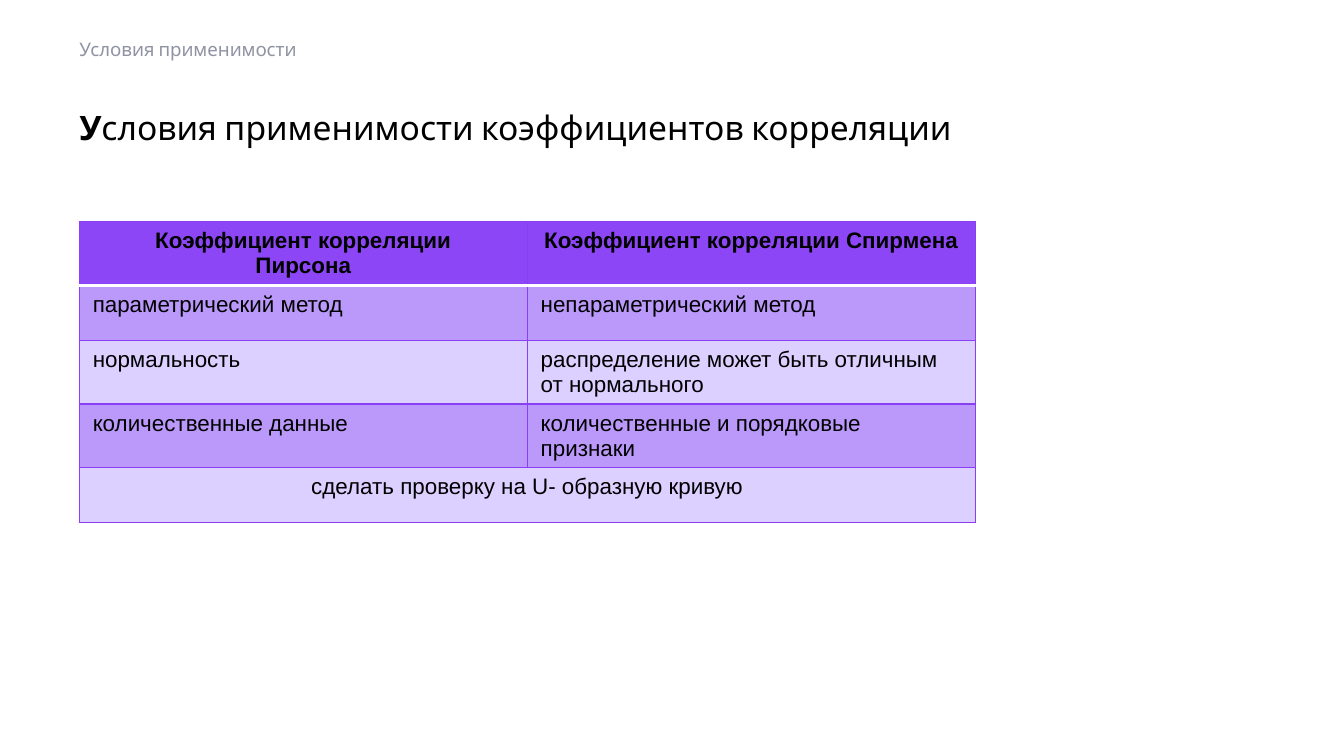
from lxml.etree import SubElement
from pptx import Presentation
from pptx.dml.color import RGBColor
from pptx.enum.text import MSO_ANCHOR, MSO_AUTO_SIZE, PP_ALIGN
from pptx.oxml.ns import qn
from pptx.util import Pt

BLACK, WHITE, GREY = "000000", "FFFFFF", "8F93A3"
HEADER, DARK_BAND, LIGHT_BAND, GRID = "8D46F6", "BB99FB", "DBD0FF", "8940F5"
HEADINGS = ["Коэффициент корреляции\nПирсона", "Коэффициент корреляции Спирмена"]
CONDITIONS = [
    ["параметрический метод", "непараметрический метод"],
    ["нормальность", "распределение может быть отличным от нормального"],
    ["количественные данные", "количественные и порядковые признаки"],
    ["сделать проверку на U- образную кривую", ""],
]


def color(value):
    return RGBColor.from_string(value)


def style(paragraph, font_name, size, font_color, align=PP_ALIGN.LEFT):
    paragraph.alignment = align
    paragraph.font.name = font_name
    paragraph.font.size = Pt(size)
    paragraph.font.color.rgb = color(font_color)


def place(shape, left, top, width, height):
    shape.left, shape.top = Pt(left), Pt(top)
    shape.width, shape.height = Pt(width), Pt(height)


def set_frame(frame, anchor, vertical_inset):
    frame.word_wrap = True
    frame.auto_size = MSO_AUTO_SIZE.NONE
    frame.vertical_anchor = anchor
    frame.margin_left = frame.margin_right = 0
    frame.margin_top = frame.margin_bottom = Pt(vertical_inset)


def add_title(slide, left, top, width, height):
    title = slide.shapes.title
    place(title, left, top, width, height)
    set_frame(title.text_frame, MSO_ANCHOR.TOP, 0)
    heading = title.text_frame.paragraphs[0]
    for text, bold in (("У", True), ("словия применимости коэффициентов корреляции", False)):
        run = heading.add_run()
        run.text = text
        run.font.bold = bold
    style(heading, "Cabin", 18, BLACK)


def add_section_label(slide, left, top, width, height):
    label = slide.shapes.add_textbox(Pt(left), Pt(top), Pt(width), Pt(height))
    set_frame(label.text_frame, MSO_ANCHOR.MIDDLE, 3)
    label.text_frame.text = "Условия применимости"
    style(label.text_frame.paragraphs[0], "Cabin", 10, GREY)


def set_border(cell, side, line_color, width):
    line = SubElement(cell._tc.get_or_add_tcPr(), qn(f"a:ln{side}"), w=str(Pt(width)))
    fill = SubElement(line, qn("a:solidFill"))
    SubElement(fill, qn("a:srgbClr"), val=line_color)


def fill_cell(cell, text, background, bold, align, white_side):
    cell.text = text
    for paragraph in cell.text_frame.paragraphs:
        style(paragraph, "Arial", 12, BLACK, align)
        paragraph.font.bold = bold
    for side in "LRTB":
        if side == white_side:
            set_border(cell, side, WHITE, 2)
        else:
            set_border(cell, side, GRID, 0.75)
    cell.fill.solid()
    cell.fill.fore_color.rgb = color(background)


def add_conditions_table(slide, left, top, width, header_height, row_height):
    rows = [HEADINGS] + CONDITIONS
    height = header_height + row_height * len(CONDITIONS)
    table = slide.shapes.add_table(
        len(rows), len(HEADINGS), Pt(left), Pt(top), Pt(width), Pt(height)
    ).table
    table.horz_banding = False
    last = len(rows) - 1
    for r, texts in enumerate(rows):
        is_header = r == 0
        table.rows[r].height = Pt(header_height if is_header else row_height)
        background = HEADER if is_header else (LIGHT_BAND, DARK_BAND)[r % 2]
        align = PP_ALIGN.CENTER if r in (0, last) else PP_ALIGN.LEFT
        white_side = {0: "B", 1: "T"}.get(r)
        for c, text in enumerate(texts):
            fill_cell(table.cell(r, c), text, background, is_header, align, white_side)
    table.cell(last, 0).merge(table.cell(last, 1))


def main():
    presentation = Presentation()
    presentation.slide_width, presentation.slide_height = Pt(720), Pt(405)
    slide = presentation.slides.add_slide(presentation.slide_layouts[5])
    add_title(slide, 42.5, 57, 635, 21.6)
    add_section_label(slide, 42.5, 12.25, 469.5, 28)
    add_conditions_table(slide, 42.5, 118.8, 480, 31, 29.5)
    presentation.save("out.pptx")


if __name__ == "__main__":
    main()
